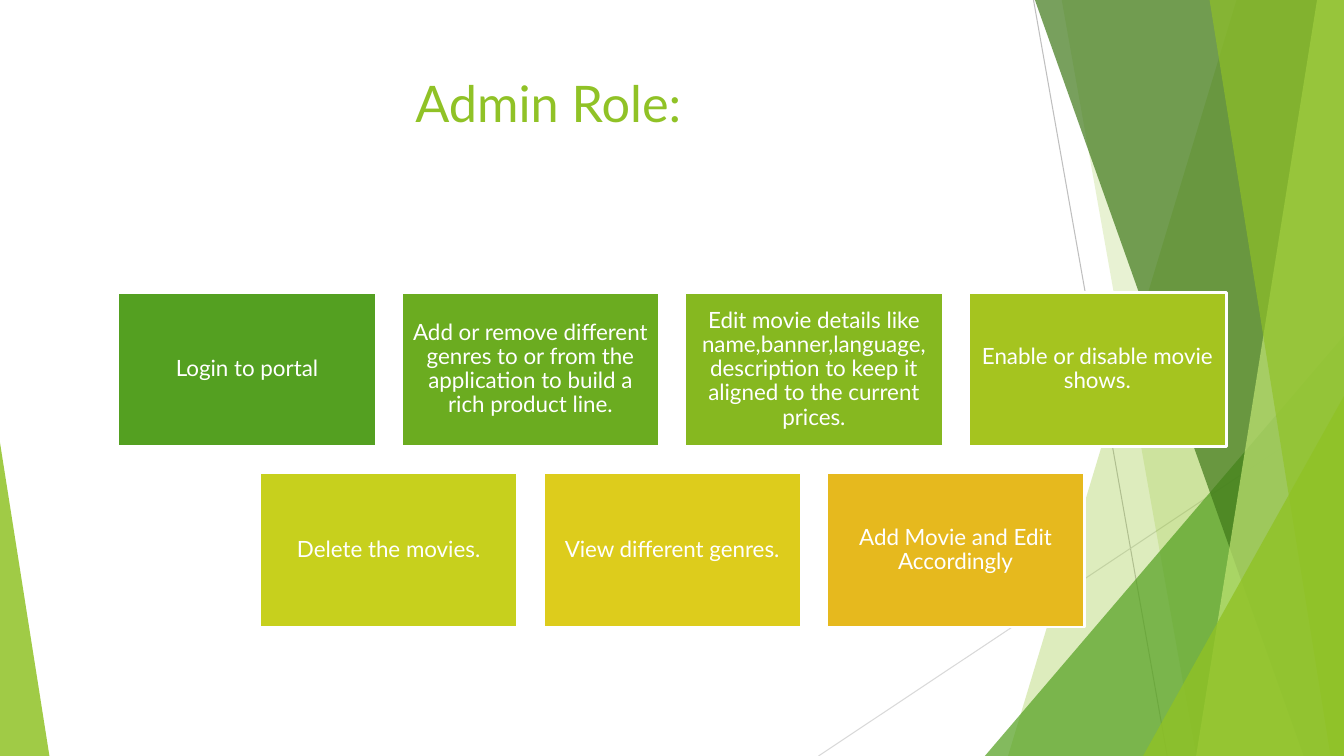
import lxml.etree
import pptx
import pptx.dml.color
import pptx.enum.shapes
import pptx.enum.text
import pptx.oxml.ns
import pptx.util

RGB = pptx.dml.color.RGBColor
WHITE = RGB(0xFF, 0xFF, 0xFF)
SILVER = RGB(0xBF, 0xBF, 0xBF)
PALE_GRAY = RGB(0xD9, 0xD9, 0xD9)
LIME = RGB(0x90, 0xC2, 0x26)
LIGHT_LIME = RGB(0xC0, 0xE4, 0x74)
GREEN = RGB(0x54, 0xA0, 0x21)
FOREST = RGB(0x3F, 0x78, 0x19)
LEAF = RGB(0x6B, 0xAC, 0x20)
GRASS = RGB(0x86, 0xB8, 0x20)
OLIVE = RGB(0xA5, 0xC4, 0x1F)
CITRON = RGB(0xC7, 0xD0, 0x1D)
YELLOW = RGB(0xDD, 0xCC, 0x1C)
AMBER = RGB(0xE6, 0xB9, 0x1E)

DUTY_ROWS = [
    (0, [
        ("Login to portal", GREEN),
        ("Add or remove different genres to or from the application "
         "to build a rich product line.", LEAF),
        ("Edit movie details like name,banner,language, description "
         "to keep it aligned to the current prices.", GRASS),
        ("Enable or disable movie shows.", OLIVE),
    ]),
    (0.5, [
        ("Delete the movies.", CITRON),
        ("View different genres.", YELLOW),
        ("Add Movie and Edit Accordingly", AMBER),
    ]),
]


class RoleSlide:
    font = "Lato"
    title_size = pptx.util.Pt(36)
    card_size = pptx.util.Pt(16)
    card_inset = pptx.util.Inches(0.07)
    card_left, card_top = 8.78, 38.67
    card_width, card_height = 19.2, 20.4
    column_step, row_step = 21.09, 23.87

    def __init__(self, deck):
        self.slide = deck.slides.add_slide(deck.slide_layouts[5])
        self.shapes = self.slide.shapes
        self.percent = (deck.slide_width / 100, deck.slide_height / 100)

    def place(self, across, down):
        return round(across * self.percent[0]), round(down * self.percent[1])

    def tint(self, shape, color, opacity):
        shape.shadow.inherit = False
        shape.fill.solid()
        shape.fill.fore_color.rgb = color
        shape.line.fill.background()
        qn = pptx.oxml.ns.qn
        solid = shape.element.spPr.find(qn("a:solidFill"))
        alpha = lxml.etree.SubElement(solid[0], qn("a:alpha"))
        alpha.set("val", str(opacity * 1000))

    def ray(self, start, end, color):
        ray = self.shapes.add_connector(
            pptx.enum.shapes.MSO_CONNECTOR.STRAIGHT,
            *self.place(*start), *self.place(*end))
        ray.line.color.rgb = color
        ray.line.width = pptx.util.Pt(0.75)
        lxml.etree.SubElement(ray.element.spPr, pptx.oxml.ns.qn("a:effectLst"))

    def band(self, top_edge, bottom_edge, color, opacity):
        outline = self.shapes.build_freeform(top_edge, 0, scale=self.percent)
        outline.add_line_segments([(100, 0), (100, 100), (bottom_edge, 100)])
        self.tint(outline.convert_to_shape(), color, opacity)

    def corner(self, left, top, width, apex, color, opacity):
        corner = self.shapes.add_shape(
            pptx.enum.shapes.MSO_SHAPE.ISOSCELES_TRIANGLE,
            *self.place(left, top), *self.place(width, 100 - top))
        corner.adjustments[0] = apex
        self.tint(corner, color, opacity)

    def label(self, frame, text, size, color):
        frame.word_wrap = True
        frame.auto_size = pptx.enum.text.MSO_AUTO_SIZE.NONE
        paragraph = frame.paragraphs[0]
        paragraph.alignment = pptx.enum.text.PP_ALIGN.CENTER
        run = paragraph.add_run()
        run.text = text
        run.font.name = self.font
        run.font.size = size
        run.font.color.rgb = color
        return paragraph

    def title(self, text):
        heading = self.shapes.title
        heading.left, heading.top = self.place(5.55, 8.93)
        heading.width, heading.height = self.place(70.5, 19.2)
        heading.text_frame.vertical_anchor = pptx.enum.text.MSO_ANCHOR.TOP
        self.label(heading.text_frame, text, self.title_size, LIME)

    def card(self, column, row, duty, color):
        card = self.shapes.add_shape(
            pptx.enum.shapes.MSO_SHAPE.RECTANGLE,
            *self.place(self.card_left + column * self.column_step,
                        self.card_top + row * self.row_step),
            *self.place(self.card_width, self.card_height))
        card.shadow.inherit = False
        card.fill.solid()
        card.fill.fore_color.rgb = color
        card.line.color.rgb = WHITE
        card.line.width = pptx.util.Pt(2)
        frame = card.text_frame
        frame.margin_left = frame.margin_right = self.card_inset
        frame.margin_top = frame.margin_bottom = self.card_inset
        frame.vertical_anchor = pptx.enum.text.MSO_ANCHOR.MIDDLE
        paragraph = self.label(frame, duty, self.card_size, WHITE)
        paragraph.line_spacing = 0.9


def main():
    deck = pptx.Presentation()
    deck.slide_width = pptx.util.Inches(13.33)
    deck.slide_height = pptx.util.Inches(7.5)
    admin = RoleSlide(deck)

    admin.ray((76.9, 0), (86.85, 100), SILVER)
    admin.ray((100, 53.73), (60.9, 100), PALE_GRAY)
    admin.band(92.1, 75.3, LIME, 30)
    admin.band(78.75, 88.73, LIME, 20)
    admin.corner(73.28, 44.4, 26.72, 1, GREEN, 72)
    admin.band(76.58, 96.83, FOREST, 70)
    admin.band(97.73, 89.4, LIGHT_LIME, 70)
    admin.band(89.7, 98.85, LIME, 65)
    admin.corner(85.05, 52.4, 14.95, 1, LIME, 80)
    admin.corner(0, 58.53, 3.68, 0, LIME, 85)

    admin.title("Admin Role:")
    for row, (indent, duties) in enumerate(DUTY_ROWS):
        for column, (duty, color) in enumerate(duties):
            admin.card(column + indent, row, duty, color)

    deck.save("out.pptx")


if __name__ == "__main__":
    main()
